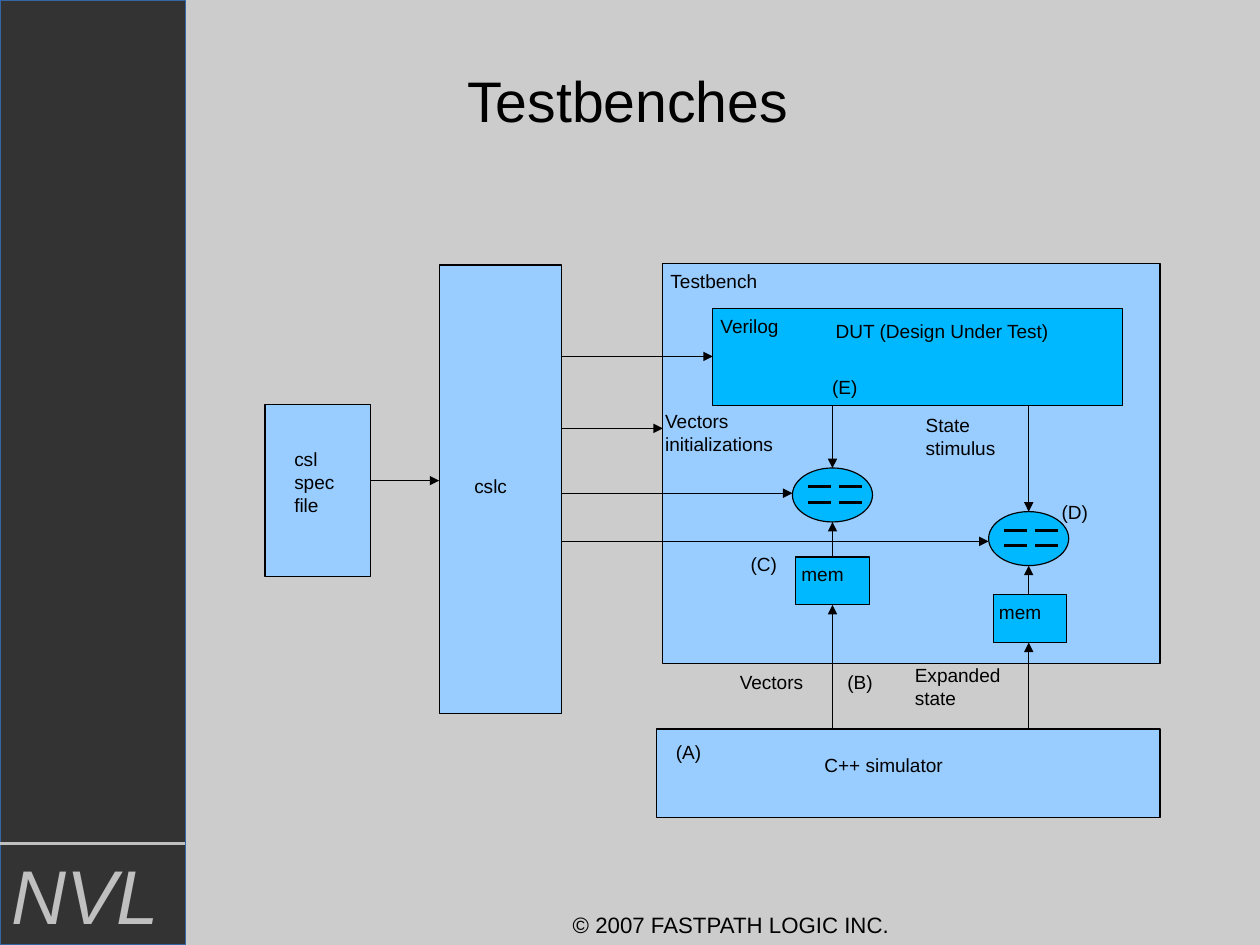
from collections import namedtuple

from lxml import etree
from pptx import Presentation
from pptx.dml.color import RGBColor
from pptx.enum.shapes import MSO_CONNECTOR, MSO_SHAPE
from pptx.enum.text import MSO_ANCHOR, PP_ALIGN
from pptx.oxml.ns import qn
from pptx.util import Cm, Pt

STRAIGHT = MSO_CONNECTOR.STRAIGHT
RECTANGLE, OVAL = MSO_SHAPE.RECTANGLE, MSO_SHAPE.OVAL
LEFT, CENTER = PP_ALIGN.LEFT, PP_ALIGN.CENTER
TOP, MIDDLE = MSO_ANCHOR.TOP, MSO_ANCHOR.MIDDLE

COLORS = {
    "background": "CCCCCC",
    "sidebar": "333333",
    "sidebar_edge": "3465A4",
    "silver": "C0C0C0",
    "ink": "000000",
    "block": "99CCFF",
    "core": "00B8FF",
}
LABEL_FONT = {"name": "Arial", "size": Pt(12), "italic": False}
HAIRLINE, ARROW_LINE = 0, 0.71

Box = namedtuple("Box", "left top width height")


def color(name):
    return RGBColor.from_string(COLORS[name])


def apply(target, values):
    for key, value in values.items():
        setattr(target, key, value)


def add_block(shapes, box, fill="block", edge="ink", outline=RECTANGLE):
    block = shapes.add_shape(outline, *map(Cm, box))
    block.shadow.inherit = False
    block.fill.solid()
    block.fill.fore_color.rgb = color(fill)
    block.line.color.rgb = color(edge)
    block.line.width = Pt(HAIRLINE)


def add_label(shapes, box, text, ink="ink", align=LEFT, anchor=TOP, **font):
    frame = shapes.add_textbox(*map(Cm, box)).text_frame
    apply(frame, {"word_wrap": True, "vertical_anchor": anchor})
    paragraph = frame.paragraphs[0]
    paragraph.alignment = align
    run = paragraph.add_run()
    run.text = text
    apply(run.font, {**LABEL_FONT, **font})
    run.font.color.rgb = color(ink)


def add_labels(shapes, box, labels):
    for text, dx, dy, width, height in labels:
        add_label(shapes, Box(box.left + dx, box.top + dy, width, height), text)


def add_line(shapes, x1, y1, x2, y2, ink="ink", width=HAIRLINE):
    line = shapes.add_connector(STRAIGHT, *map(Cm, (x1, y1, x2, y2)))
    line.line.color.rgb = color(ink)
    line.line.width = Pt(width)
    etree.SubElement(line.element.spPr, qn("a:effectLst"))
    return line


def add_arrow(shapes, x1, y1, x2, y2):
    arrow = add_line(shapes, x1, y1, x2, y2, width=ARROW_LINE)
    etree.SubElement(arrow.line._get_or_add_ln(), qn("a:tailEnd"), type="triangle")


def add_sidebar(shapes, box):
    add_block(shapes, box, "sidebar", "sidebar_edge")
    divider = box.top + 18.74
    add_label(shapes, Box(box.left, divider - 0.02, 5.23, 2.2), "NVL", "silver",
              size=Pt(48), italic=True)
    add_line(shapes, box.left, divider, box.left + box.width, divider, "silver")


def add_compiler(shapes, box):
    add_block(shapes, box)
    add_labels(shapes, box, [("cslc", 0.53, 4.52, 1.78, 0.94)])


def add_spec_file(shapes, box):
    add_block(shapes, box)
    add_labels(shapes, box, [("csl spec file", 0.4, 0.84, 1.9, 2.13)])


def add_multiplexer(shapes, box):
    parts = shapes.add_group_shape().shapes
    add_block(parts, box, "core", outline=OVAL)
    for dy in (0.41, 0.76):
        for dx in (0.35, 1.04):
            left, y = box.left + dx, box.top + dy
            add_line(parts, left, y, left + 0.5, y)


def add_memory(shapes, box):
    add_block(shapes, box, "core")
    add_labels(shapes, box, [("mem", -0.12, 0, 2.08, 0.94)])


def add_design(shapes, box):
    add_block(shapes, box, "core")
    add_labels(shapes, box, [
        ("Verilog", -0.08, 0.02, 2.44, 0.94),
        ("DUT (Design Under Test)", 2.48, 0.12, 7, 0.94),
        ("(E)", 2.4, 1.38, 1.63, 0.89),
    ])


def add_testbench(shapes, box):
    add_block(shapes, box)
    add_labels(shapes, box, [
        ("Testbench", -0.08, 0, 3.5, 0.94),
        ("Vectors initializations", -0.2, 3.12, 4, 1.52),
        ("State stimulus", 5.59, 3.2, 3, 1.52),
        ("(C)", 1.7, 6.3, 1.6, 0.94),
        ("(D)", 8.61, 5.13, 1.52, 0.94),
    ])


def add_simulator(shapes, box):
    add_block(shapes, box)
    add_labels(shapes, box, [
        ("(A)", 0.18, 0.13, 1.57, 0.94),
        ("C++ simulator", 3.48, 0.43, 4.55, 0.94),
        ("Vectors", 1.6, -1.42, 2.54, 0.94),
        ("(B)", 3.99, -1.42, 1.6, 0.94),
        ("Expanded state", 5.49, -1.57, 3.2, 1.52),
    ])


def add_diagram(shapes, box):
    def place(dx, dy, width, height):
        return Box(box.left + dx, box.top + dy, width, height)

    spec_file = place(0, 3.13, 2.35, 3.83)
    compiler = place(3.87, 0.03, 2.72, 9.96)
    testbench = place(8.84, 0, 11.05, 8.89)
    simulator = place(8.7, 10.34, 11.19, 1.96)
    design = place(9.95, 0.99, 9.1, 2.16)
    vector_mux = place(11.72, 4.54, 1.78, 1.2)
    state_mux = place(16.08, 5.51, 1.78, 1.2)
    vector_memory = place(11.79, 6.52, 1.64, 1.06)
    state_memory = place(16.18, 7.36, 1.64, 1.06)

    add_testbench(shapes, testbench)
    add_spec_file(shapes, spec_file)
    add_compiler(shapes, compiler)
    add_simulator(shapes, simulator)
    add_design(shapes, design)

    for mux, memory in ((vector_mux, vector_memory), (state_mux, state_memory)):
        add_multiplexer(shapes, mux)
        add_memory(shapes, memory)
        x = mux.left + mux.width / 2
        add_arrow(shapes, x, design.top + design.height, x, mux.top)
        add_arrow(shapes, x, memory.top, x, mux.top + mux.height)
        add_arrow(shapes, x, simulator.top, x, memory.top + memory.height)

    compiler_right = compiler.left + compiler.width
    targets = ((design, 2.06), (testbench, 3.66), (vector_mux, 5.1), (state_mux, 6.17))
    for target, dy in targets:
        y = box.top + dy
        add_arrow(shapes, compiler_right, y, target.left, y)
    y = box.top + 4.82
    add_arrow(shapes, spec_file.left + spec_file.width, y, compiler.left, y)


def main():
    deck = Presentation()
    deck.slide_width, deck.slide_height = Cm(28), Cm(21)
    slide = deck.slides.add_slide(deck.slide_layouts[6])
    slide.background.fill.solid()
    slide.background.fill.fore_color.rgb = color("background")
    shapes = slide.shapes
    add_sidebar(shapes, Box(0, 0, 4.12, 21))
    add_label(shapes, Box(2, 0.72, 23.9, 3), "Testbenches",
              align=CENTER, anchor=MIDDLE, size=Pt(36))
    add_diagram(shapes, Box(5.89, 5.86, 19.89, 12.3))
    add_label(shapes, Box(9.68, 20.12, 13.13, 0.86), "© 2007 FASTPATH LOGIC INC.",
              align=CENTER, size=Pt(14))
    deck.save("out.pptx")


if __name__ == "__main__":
    main()
